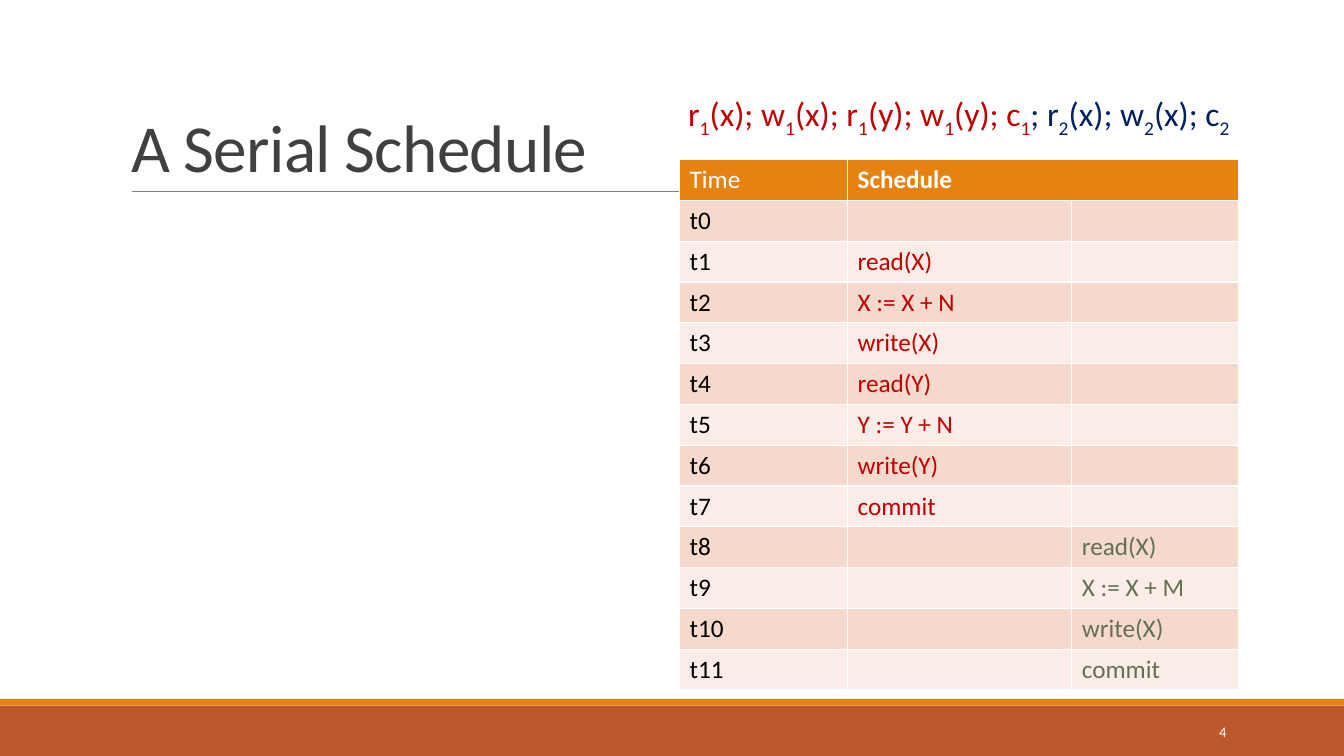
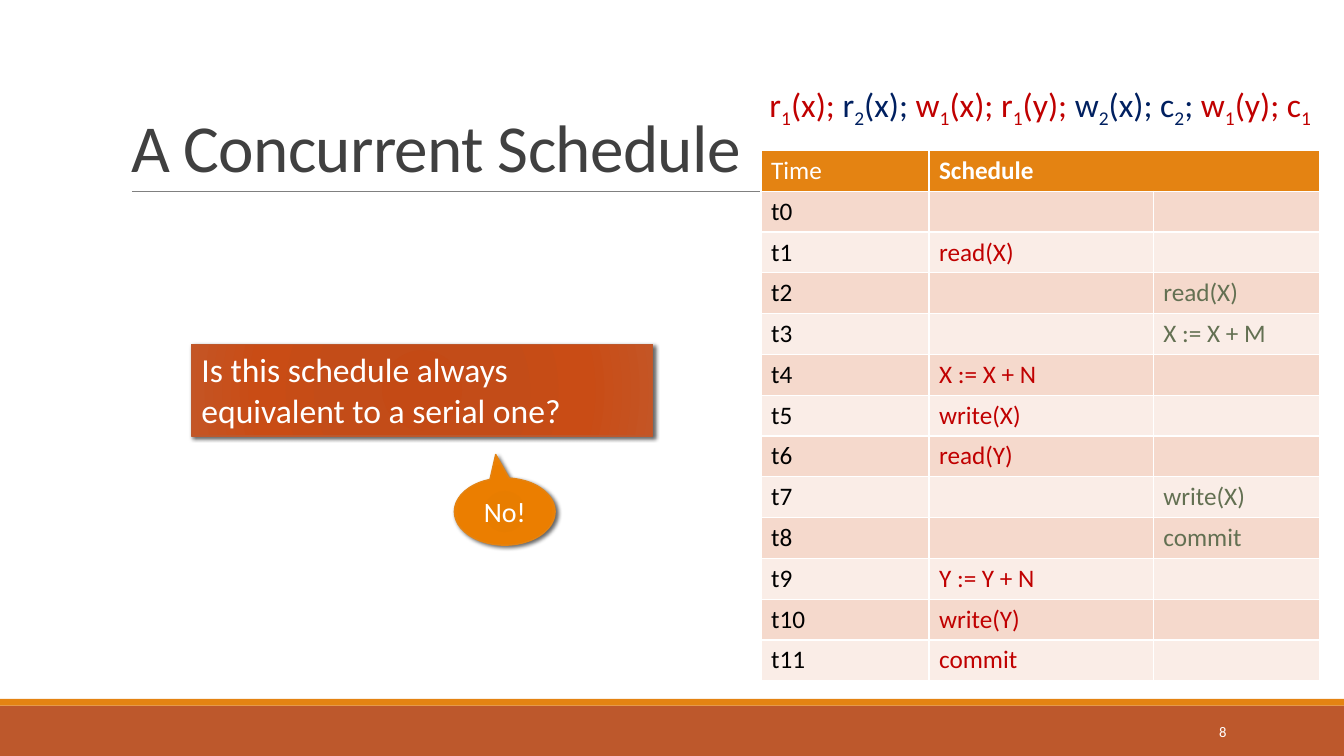
from dataclasses import dataclass
from itertools import groupby
from typing import Any

from lxml.etree import SubElement
from pptx import Presentation
from pptx.dml.color import RGBColor as Color
from pptx.enum.shapes import MSO_CONNECTOR as Connector, MSO_SHAPE as Preset
from pptx.enum.text import MSO_ANCHOR as Anchor, MSO_AUTO_SIZE as AutoSize, PP_ALIGN as Align
from pptx.oxml import parse_xml
from pptx.oxml.ns import nsdecls, qn
from pptx.util import Inches, Pt

UNITS_PER_INCH = 12
COLUMNS, ROWS = 160, 90


@dataclass(frozen=True)
class Theme:
    font: str = "Calibri"
    white: str = "FFFFFF"
    black: str = "000000"
    title: str = "404040"
    rule: str = "808080"
    rust: str = "BD582C"
    orange: str = "E48312"
    bands: tuple[str, str] = ("F5D9CC", "FAEDE7")
    steps: tuple[str, str] = ("C00000", "637052")
    formula: tuple[str, str] = ("C00000", "002060")
    rust_glow: tuple[str, ...] = ("C44A15", "C34C18", "C94C15", "C45525")
    orange_glow: tuple[str, ...] = ("E57B00", "E87D00", "EB7E00", "EF8407")
    glow_stops: tuple[int, ...] = (0, 34, 70, 100)
    title_size: float = 48
    large_size: float = 24
    answer_size: float = 20
    cell_size: float = 18
    number_size: float = 10.5


@dataclass(frozen=True)
class Frame:
    left: float
    top: float
    width: float
    height: float

    def lengths(self) -> tuple[int, ...]:
        return tuple(units(value) for value in (self.left, self.top, self.width, self.height))


@dataclass(frozen=True)
class Part:
    actor: int
    text: str


@dataclass(frozen=True)
class Schedule:
    title: str
    number: int
    left: float
    top: float
    formula: tuple[Part, ...]
    steps: tuple[Part, ...]


@dataclass(frozen=True)
class Bubble:
    preset: Preset
    frame: Frame
    text: str
    size: float
    line: str
    glow: tuple[str, ...]
    align: Align
    anchor: Anchor
    adjustments: tuple[float, ...] = ()


THEME = Theme()
TITLE = Frame(14.4, 3.7, 132, 19.1)
NUMBER = Frame(130, 84.7, 17.2, 4.8)
BANDS = ((Frame(0, 84, COLUMNS, 6), THEME.rust), (Frame(0, 83.2, COLUMNS, 0.8), THEME.orange))
RULE = Frame(15.7, 22.8, 130.8, 0)
TABLE_COLUMNS = (20, 26.7, 19.8)
TABLE_ROW = 4.86
FORMULA_WIDTH, FORMULA_HEIGHT, FORMULA_RISE = 73.7, 6, 8.5

SCHEDULES = (
    Schedule(
        "A Serial Schedule", 4, 80.9, 19,
        (Part(0, "r1(x); w1(x); r1(y); w1(y); c1"), Part(1, "; r2(x); w2(x); c2")),
        (Part(0, "read(X)"), Part(0, "X := X + N"), Part(0, "write(X)"), Part(0, "read(Y)"),
         Part(0, "Y := Y + N"), Part(0, "write(Y)"), Part(0, "commit"),
         Part(1, "read(X)"), Part(1, "X := X + M"), Part(1, "write(X)"), Part(1, "commit")),
    ),
    Schedule(
        "A Concurrent Schedule", 8, 90.6, 17.9,
        (Part(0, "r1(x); "), Part(1, "r2(x); "), Part(0, "w1(x); r1(y); "),
         Part(1, "w2(x); c2; "), Part(0, "w1(y); c1")),
        (Part(0, "read(X)"), Part(1, "read(X)"), Part(1, "X := X + M"), Part(0, "X := X + N"),
         Part(0, "write(X)"), Part(0, "read(Y)"), Part(1, "write(X)"), Part(1, "commit"),
         Part(0, "Y := Y + N"), Part(0, "write(Y)"), Part(0, "commit")),
    ),
)

BUBBLES = (
    Bubble(Preset.RECTANGLE, Frame(22.8, 41, 54.9, 10.9),
           "Is this schedule always equivalent to a serial one?", THEME.large_size,
           THEME.rust, THEME.rust_glow, Align.LEFT, Anchor.TOP),
    Bubble(Preset.OVAL_CALLOUT, Frame(54.1, 56.9, 12, 8), "No!", THEME.answer_size,
           THEME.orange, THEME.orange_glow, Align.CENTER, Anchor.MIDDLE, (-0.09, -0.85)),
)


def units(value: float) -> int:
    return Inches(value / UNITS_PER_INCH)


def assign(target: Any, formats: dict[str, Any]) -> None:
    for name, value in formats.items():
        setattr(target, name, value)


def add_span(para: Any, text: str, size: float, color: str, bold: bool = False) -> Any:
    span = para.add_run()
    span.text = text
    assign(span.font, {"name": THEME.font, "size": Pt(size), "bold": bold})
    span.font.color.rgb = Color.from_string(color)
    return span


def paint(target: Any, color: str) -> None:
    target.fill.solid()
    target.fill.fore_color.rgb = Color.from_string(color)


def add_text_box(page: Any, frame: Frame, align: Align, anchor: Anchor = Anchor.TOP) -> Any:
    box = page.shapes.add_textbox(*frame.lengths())
    assign(box.text_frame, {"word_wrap": True, "vertical_anchor": anchor})
    para = box.text_frame.paragraphs[0]
    para.alignment = align
    return para


def prepare_layout(layout: Any, page: Any) -> None:
    decorations = []
    for frame, color in BANDS:
        band = page.shapes.add_shape(Preset.RECTANGLE, *frame.lengths())
        paint(band, color)
        band.line.fill.background()
        band.shadow.inherit = False
        decorations.append(band)
    left, top, width, height = RULE.lengths()
    rule = page.shapes.add_connector(Connector.STRAIGHT, left, top, left + width, top + height)
    rule.line.color.rgb = Color.from_string(THEME.rule)
    rule.line.width = Pt(0.5)
    SubElement(rule.element.spPr, qn("a:effectLst"))
    decorations.append(rule)
    for index, shape in enumerate(decorations, start=100):
        shape.element.xpath(".//p:cNvPr")[0].set("id", str(index))
        layout.shapes.element.append(shape.element)
    title = layout.placeholders[0]
    assign(title, dict(zip(("left", "top", "width", "height"), TITLE.lengths())))
    assign(title.text_frame, {"vertical_anchor": Anchor.BOTTOM, "auto_size": AutoSize.NONE})


def add_title(page: Any, text: str) -> None:
    para = page.shapes.title.text_frame.paragraphs[0]
    assign(para, {"alignment": Align.LEFT, "line_spacing": 0.85})
    span = add_span(para, text, THEME.title_size, THEME.title)
    span._r.get_or_add_rPr().set("spc", "-50")


def add_formula(page: Any, schedule: Schedule) -> None:
    left = schedule.left + (sum(TABLE_COLUMNS) - FORMULA_WIDTH) / 2
    frame = Frame(left, schedule.top - FORMULA_RISE, FORMULA_WIDTH, FORMULA_HEIGHT)
    para = add_text_box(page, frame, Align.CENTER)
    for part in schedule.formula:
        for is_index, letters in groupby(part.text, str.isdigit):
            span = add_span(para, "".join(letters), THEME.large_size, THEME.formula[part.actor])
            if is_index:
                span._r.get_or_add_rPr().set("baseline", "-25000")


def fill_cell(cell: Any, text: str, color: str, bold: bool = False) -> None:
    add_span(cell.text_frame.paragraphs[0], text, THEME.cell_size, color, bold)


def add_schedule_table(page: Any, schedule: Schedule) -> None:
    row_count = len(schedule.steps) + 2
    frame = Frame(schedule.left, schedule.top, sum(TABLE_COLUMNS), row_count * TABLE_ROW)
    table = page.shapes.add_table(row_count, len(TABLE_COLUMNS), *frame.lengths()).table
    for column, width in zip(table.columns, TABLE_COLUMNS):
        column.width = units(width)
    for index, row in enumerate(table.rows):
        row.height = units(TABLE_ROW)
        for cell in row.cells:
            paint(cell, THEME.bands[(index - 1) % 2] if index else THEME.orange)
        if index:
            fill_cell(row.cells[0], f"t{index - 1}", THEME.black)
    fill_cell(table.cell(0, 0), "Time", THEME.white)
    fill_cell(table.cell(0, 1), "Schedule", THEME.white, bold=True)
    table.cell(0, 1).merge(table.cell(0, 2))
    for index, step in enumerate(schedule.steps, start=2):
        fill_cell(table.cell(index, step.actor + 1), step.text, THEME.steps[step.actor])


def add_glow(shape: Any, colors: tuple[str, ...]) -> None:
    stops = "".join(
        f'<a:gs pos="{stop * 1000}"><a:srgbClr val="{color}"/></a:gs>'
        for stop, color in zip(THEME.glow_stops, colors)
    )
    properties = shape.element.spPr
    properties.find(qn("a:ln")).addprevious(parse_xml(
        f'<a:gradFill {nsdecls("a")} rotWithShape="1"><a:gsLst>{stops}</a:gsLst>'
        '<a:path path="circle"><a:fillToRect l="100000" t="100000" r="100000" b="100000"/>'
        '</a:path></a:gradFill>'
    ))
    properties.find(qn("a:effectLst")).append(parse_xml(
        f'<a:outerShdw {nsdecls("a")} blurRad="{Pt(3)}" dist="{Pt(2)}" dir="2700000" '
        f'algn="br" rotWithShape="0"><a:srgbClr val="{THEME.black}">'
        '<a:alpha val="60000"/></a:srgbClr></a:outerShdw>'
    ))


def add_bubble(page: Any, bubble: Bubble) -> None:
    shape = page.shapes.add_shape(bubble.preset, *bubble.frame.lengths())
    for index, value in enumerate(bubble.adjustments):
        shape.adjustments[index] = value
    shape.line.color.rgb = Color.from_string(bubble.line)
    shape.line.width = Pt(1)
    shape.shadow.inherit = False
    add_glow(shape, bubble.glow)
    assign(shape.text_frame, {"word_wrap": True, "vertical_anchor": bubble.anchor})
    para = shape.text_frame.paragraphs[0]
    para.alignment = bubble.align
    add_span(para, bubble.text, bubble.size, THEME.white)


def main() -> None:
    deck = Presentation()
    assign(deck, {"slide_width": units(COLUMNS), "slide_height": units(ROWS)})
    layout = deck.slide_layouts.get_by_name("Title Only")
    pages = [deck.slides.add_slide(layout) for _ in SCHEDULES]
    prepare_layout(layout, pages[0])
    for page, schedule in zip(pages, SCHEDULES):
        add_title(page, schedule.title)
        number = add_text_box(page, NUMBER, Align.RIGHT, Anchor.MIDDLE)
        add_span(number, str(schedule.number), THEME.number_size, THEME.white)
        add_formula(page, schedule)
        add_schedule_table(page, schedule)
    for bubble in BUBBLES:
        add_bubble(pages[-1], bubble)
    deck.save("out.pptx")


if __name__ == "__main__":
    main()
